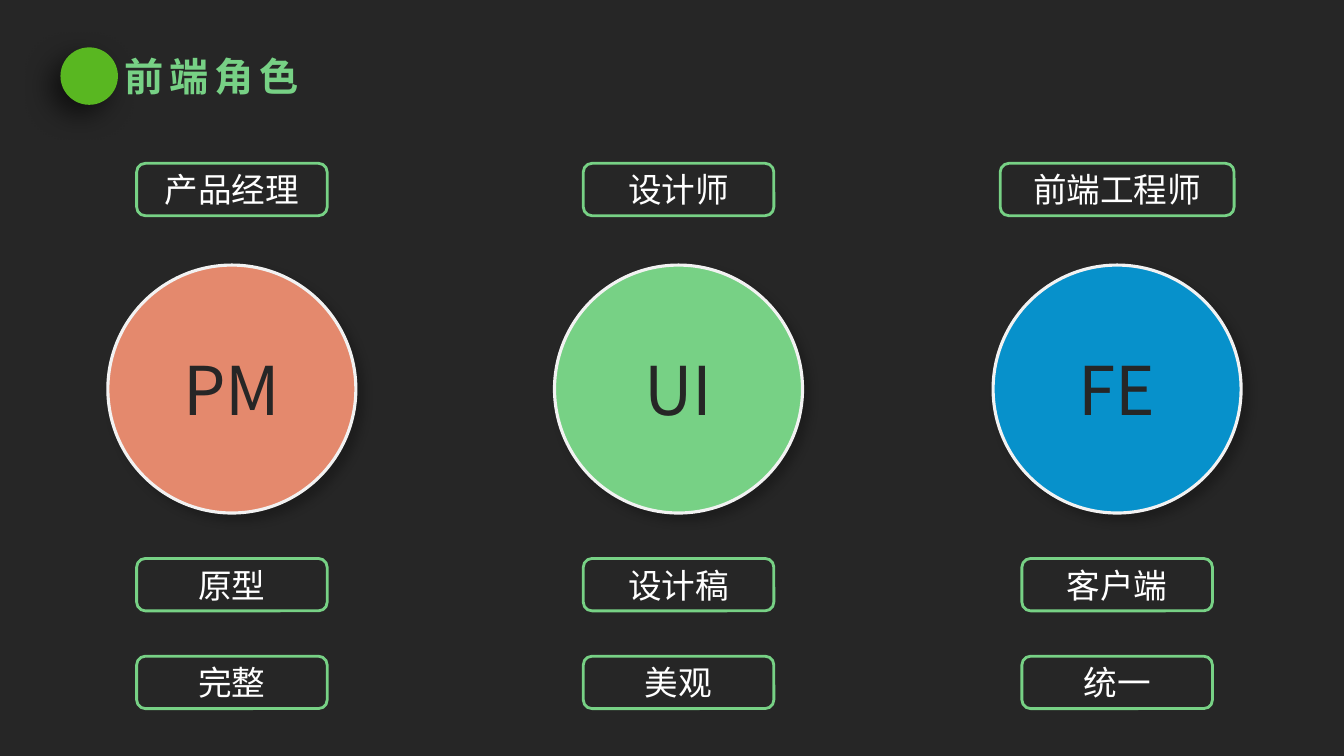
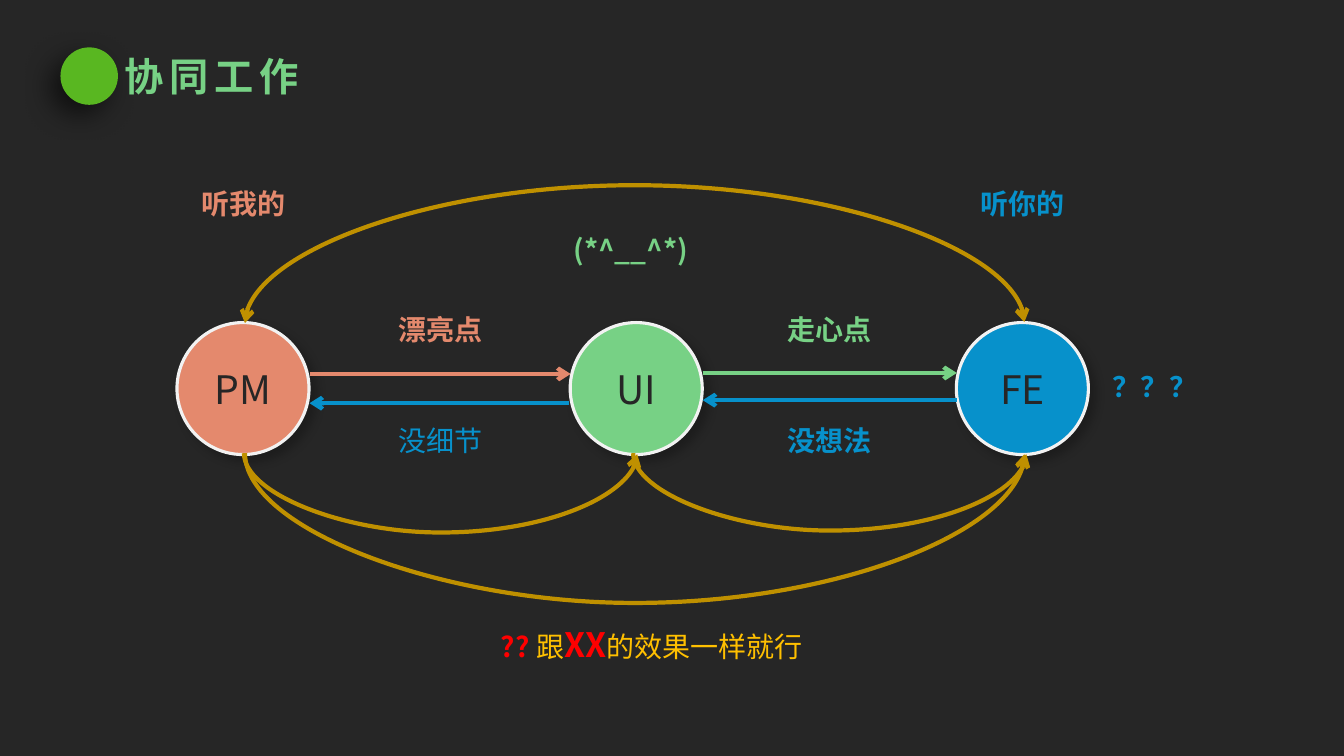
import pptx
import pptx.util
import pptx.dml.color
import pptx.enum.shapes
import pptx.enum.text
import pptx.oxml
from pptx.oxml.ns import qn

SHAPE = pptx.enum.shapes.MSO_SHAPE
LINK = pptx.enum.shapes.MSO_CONNECTOR
ALIGN = pptx.enum.text.PP_ALIGN
IN = pptx.util.Inches
PT = pptx.util.Pt

# Shared look
WIDTH, HEIGHT = 13.33, 7.5
FONT = "Noto Sans CJK SC"
DARK, PALE, WHITE = "262626", "F2F2F2", "FFFFFF"
LEAF, GREEN, ORANGE, BLUE = "59B721", "77D185", "E4896D", "0791CB"
GOLD, AMBER, RED = "BF9000", "FFC000", "FF0000"
ROLE_COLORS = {"PM": ORANGE, "UI": GREEN, "FE": BLUE}
# opacity %, blur pt, distance pt, direction degrees
TITLE_SHADOW = (60, 20, 10, 135)
ROLE_SHADOW = (23, 7, 5.9, 45)

# Slide 1: role, column centre, job, job box width, output, quality
ROLES_TITLE = "前端角色"
ROLES = [
    ("PM", 2.3, "产品经理", 1.89, "原型", "完整"),
    ("UI", 6.73, "设计师", 1.89, "设计稿", "美观"),
    ("FE", 11.08, "前端工程师", 2.32, "客户端", "统一"),
]
JOB_TOP, OUTPUT_TOP, QUALITY_TOP = 1.62, 5.54, 6.51
ROLE_TOP, ROLE_SIZE = 2.63, 2.46
TAG_WIDTH, TAG_HEIGHT = 1.89, 0.52

# Slide 2
TEAM_TITLE = "协同工作"
TEAM = {"PM": 2.41, "UI": 6.31, "FE": 10.14}
TEAM_TOP, TEAM_SIZE = 3.2, 1.31
REMARK_WIDTH, REMARK_HEIGHT = 1.44, 0.46
# text, left, top, colour, bold
REMARKS = [
    ("听我的", 1.9, 1.8, ORANGE, True),
    ("听你的", 9.63, 1.8, BLUE, True),
    ("漂亮点", 3.85, 3.05, ORANGE, True),
    ("走心点", 7.71, 3.05, GREEN, True),
    ("(*^__^*)", 5.59, 2.26, GREEN, True),
    ("没细节", 3.85, 4.15, BLUE, False),
    ("没想法", 7.71, 4.15, BLUE, True),
    ("？？？", 10.94, 3.62, BLUE, True),
]
# from x, to x, y, colour
MESSAGES = [
    (3.07, 5.66, 3.71, ORANGE),
    (6.97, 9.49, 3.7, GREEN),
    (9.49, 6.97, 3.97, BLUE),
    (5.64, 3.07, 4, BLUE),
]
# from x, to x, y, depth (negative rises), arrowheads
ARCS = [
    (2.43, 10.16, 4.5, 1.51, ["tailEnd"]),
    (2.43, 10.16, 3.2, -1.39, ["headEnd", "tailEnd"]),
    (2.42, 6.32, 4.5, 0.8, ["tailEnd"]),
    (6.28, 10.18, 4.5, 0.78, ["tailEnd"]),
]
# text, size, colour, bold
DEMAND = [
    ("?? ", 20, RED, True),
    ("跟", 20, AMBER, False),
    ("XX", 24, RED, True),
    ("的效果一样就行", 20, AMBER, False),
]


def rgb(value):
    return pptx.dml.color.RGBColor.from_string(value)


def add_child(parent, tag, **attributes):
    child = parent.makeelement(qn(tag), attributes)
    parent.append(child)
    return child


def style_font(font, size, color, bold=False):
    font.size, font.bold, font.name = PT(size), bold, FONT
    font.color.rgb = rgb(color)
    add_child(font._element, "a:ea", typeface=FONT)


def add_shadow(shape, opacity, blur, distance, direction):
    effects = shape.element.spPr.find(qn("a:effectLst"))
    outer = add_child(effects, "a:outerShdw", blurRad=str(PT(blur)),
                      dist=str(PT(distance)), dir=str(direction * 60000),
                      algn="ctr", rotWithShape="0")
    tint = add_child(outer, "a:srgbClr", val="000000")
    add_child(tint, "a:alpha", val=str(opacity * 1000))


def add_box(slide, kind, left, top, width, height, fill=None, line=None,
            weight=2, shadow=None, text="", size=24, color=WHITE):
    shape = slide.shapes.add_shape(kind, IN(left), IN(top), IN(width), IN(height))
    if fill:
        shape.fill.solid()
        shape.fill.fore_color.rgb = rgb(fill)
    else:
        shape.fill.background()
    if line:
        shape.line.color.rgb = rgb(line)
        shape.line.width = PT(weight)
    else:
        shape.line.fill.background()
    shape.shadow.inherit = False
    if shadow:
        add_shadow(shape, *shadow)
    if text:
        shape.text_frame.vertical_anchor = pptx.enum.text.MSO_ANCHOR.MIDDLE
        label = shape.text_frame.paragraphs[0]
        label.text, label.alignment = text, ALIGN.CENTER
        style_font(label.font, size, color)


def add_label(slide, left, top, width, height):
    frame = slide.shapes.add_textbox(IN(left), IN(top), IN(width), IN(height)).text_frame
    frame.word_wrap = True
    frame.auto_size = pptx.enum.text.MSO_AUTO_SIZE.SHAPE_TO_FIT_TEXT
    return frame.paragraphs[0]


def add_role(slide, role, center, top, size, text_size):
    add_box(slide, SHAPE.OVAL, center - size / 2, top, size, size,
            ROLE_COLORS[role], PALE, 2.25, ROLE_SHADOW, role, text_size, DARK)


def add_arrow(slide, kind, x1, y1, x2, y2, color, heads=("tailEnd",)):
    arrow = slide.shapes.add_connector(kind, IN(x1), IN(y1), IN(x2), IN(y2))
    arrow.line.color.rgb = rgb(color)
    arrow.line.width = PT(3)
    for head in heads:
        add_child(arrow.line._get_or_add_ln(), "a:" + head, type="arrow")
    add_child(arrow.element.spPr, "a:effectLst")
    return arrow


def add_arc(slide, x1, x2, y, depth, heads):
    """Curve between two points of one height, bulging by depth."""
    thin, span = 0.01, x2 - x1
    left, top = (x1 + x2 - thin) / 2, y - span / 2
    arc = add_arrow(slide, LINK.CURVE, left, top, left + thin, top + span, GOLD, heads)
    frame = arc.element.spPr.find(qn("a:xfrm"))
    if depth > 0:
        frame.set("rot", str(90 * 60000))
        frame.set("flipV", "1")
    else:
        frame.set("rot", str(270 * 60000))
    guides = arc.element.spPr.find(qn("a:prstGeom")).find(qn("a:avLst"))
    add_child(guides, "a:gd", name="adj1",
              fmla=f"val {round(abs(depth) / thin * 100000)}")


def new_slide(deck, title):
    slide = deck.slides.add_slide(deck.slide_layouts[6])
    add_box(slide, SHAPE.OVAL, 0.6, 0.47, 0.57, 0.57, LEAF, shadow=TITLE_SHADOW)
    heading = add_label(slide, 1.14, 0.47, 2.77, 0.57)
    heading.text = title
    style_font(heading.font, 28, GREEN, True)
    heading.runs[0].font._element.set("spc", "400")
    return slide


def build_roles(deck):
    slide = new_slide(deck, ROLES_TITLE)
    for role, center, job, job_width, output, quality in ROLES:
        add_role(slide, role, center, ROLE_TOP, ROLE_SIZE, 48)
        for text, top, width in [(job, JOB_TOP, job_width),
                                 (output, OUTPUT_TOP, TAG_WIDTH),
                                 (quality, QUALITY_TOP, TAG_WIDTH)]:
            add_box(slide, SHAPE.ROUNDED_RECTANGLE, center - width / 2, top,
                    width, TAG_HEIGHT, line=GREEN, text=text)


def build_team(deck):
    slide = new_slide(deck, TEAM_TITLE)
    for role, center in TEAM.items():
        add_role(slide, role, center, TEAM_TOP, TEAM_SIZE, 28)
    for x1, x2, y, color in MESSAGES:
        add_arrow(slide, LINK.STRAIGHT, x1, y, x2, y, color)
    for arc in ARCS:
        add_arc(slide, *arc)
    for text, left, top, color, bold in REMARKS:
        remark = add_label(slide, left, top, REMARK_WIDTH, REMARK_HEIGHT)
        remark.text = text
        style_font(remark.font, 20, color, bold)
    demand = add_label(slide, 4.87, 6.14, 3.24, 0.53)
    for text, size, color, bold in DEMAND:
        run = demand.add_run()
        run.text = text
        style_font(run.font, size, color, bold)


def main():
    deck = pptx.Presentation()
    deck.slide_width, deck.slide_height = IN(WIDTH), IN(HEIGHT)
    backdrop = deck.slide_master.background.fill
    backdrop.solid()
    backdrop.fore_color.rgb = rgb(DARK)
    build_roles(deck)
    build_team(deck)
    deck.save("out.pptx")


if __name__ == "__main__":
    main()
